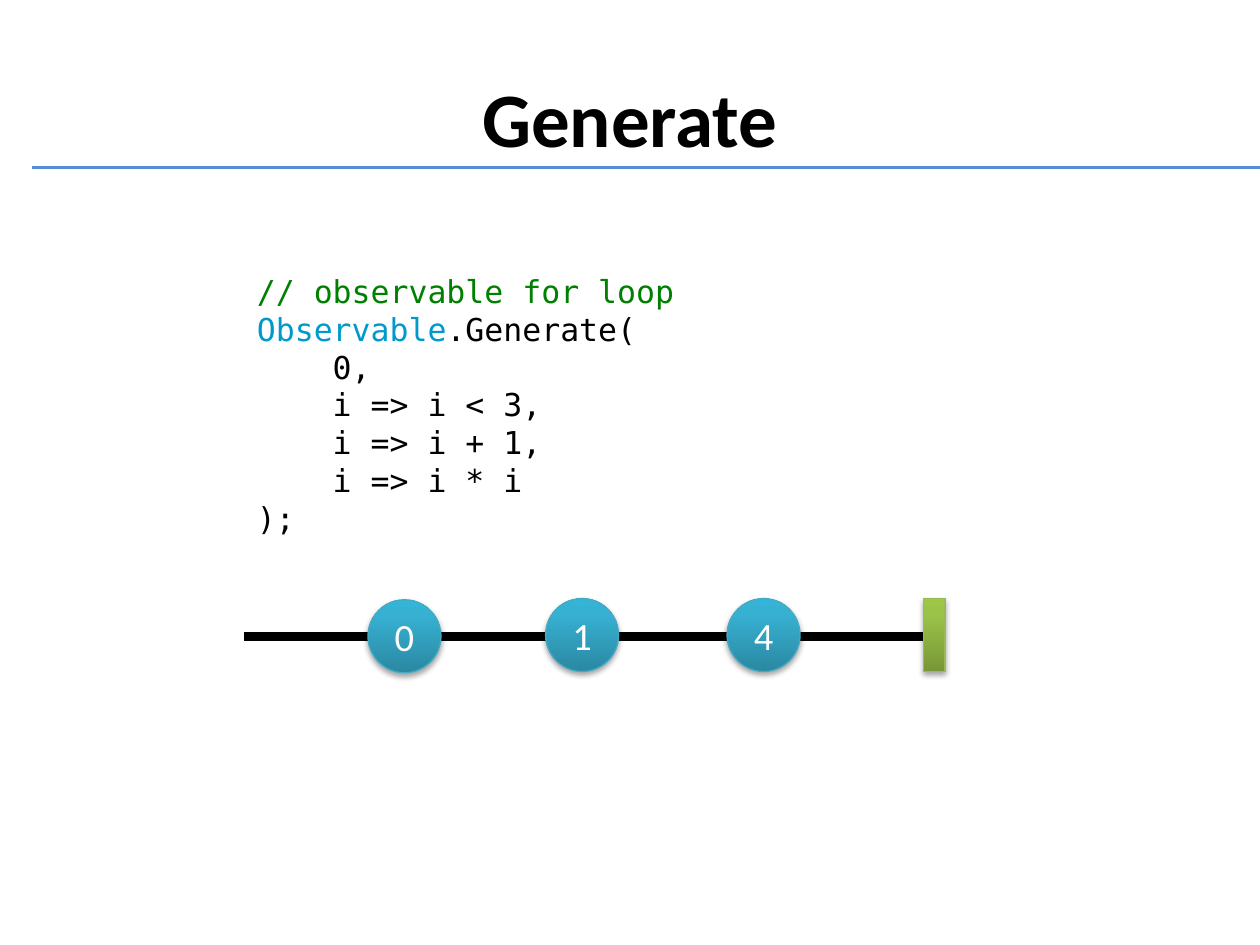
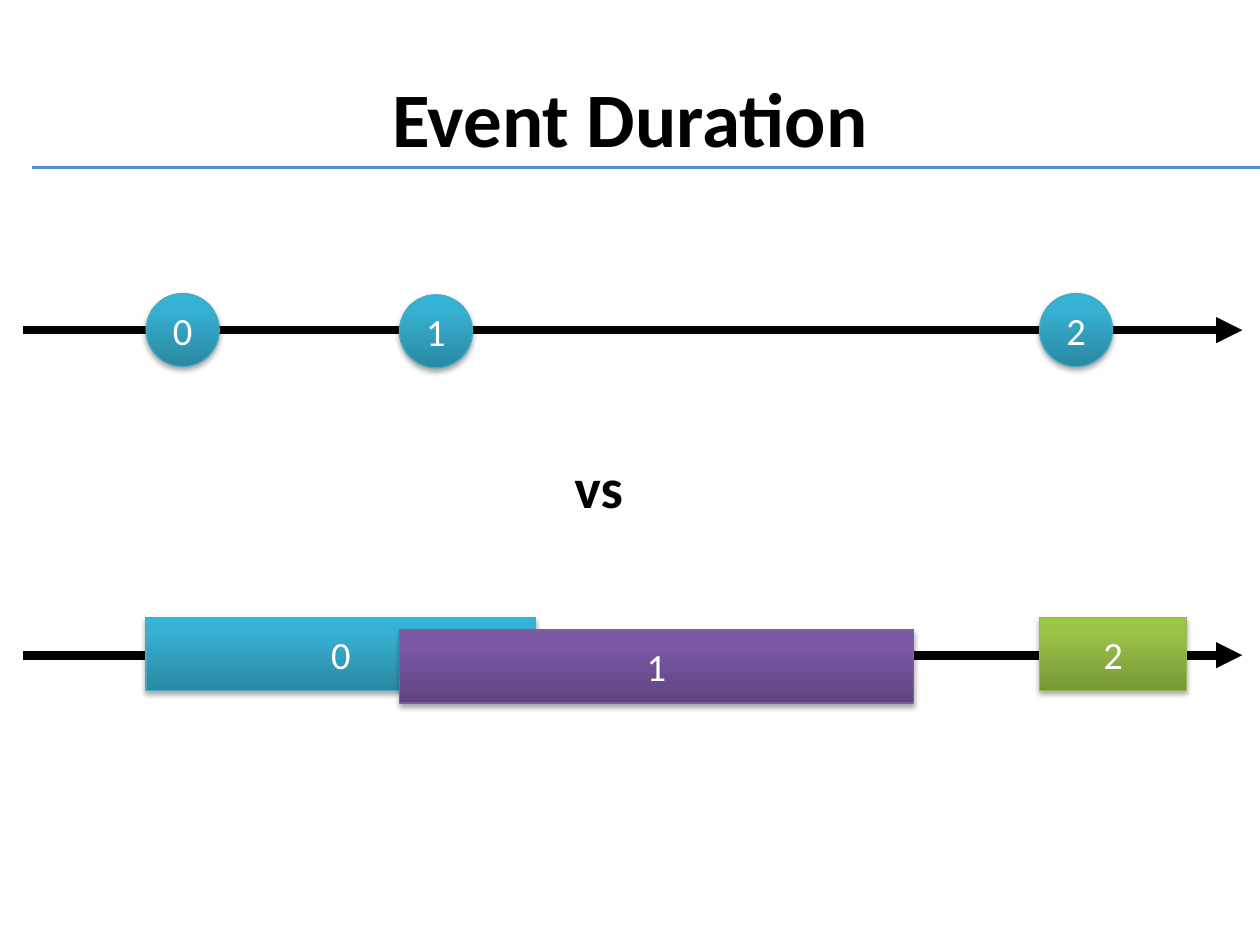
from lxml.etree import SubElement
from pptx import Presentation
from pptx.dml.color import RGBColor
from pptx.enum.shapes import MSO_CONNECTOR, MSO_SHAPE
from pptx.enum.text import MSO_ANCHOR, PP_ALIGN
from pptx.oxml.ns import qn
from pptx.util import Inches, Pt

BLACK = RGBColor(0x00, 0x00, 0x00)
WHITE = RGBColor(0xFF, 0xFF, 0xFF)
RULE_BLUE = RGBColor(0x55, 0x8E, 0xD5)
COMMENT_GREEN = RGBColor(0x00, 0x80, 0x00)
TYPE_BLUE = RGBColor(0x00, 0x99, 0xCC)

BLUE = {
    "line": RGBColor(0x46, 0xAA, 0xC5),
    "stops": [(0, RGBColor(0x2A, 0x88, 0xA2)), (80, RGBColor(0x37, 0xB1, 0xD2)),
              (100, RGBColor(0x34, 0xB4, 0xD6))],
}
PURPLE = {
    "line": RGBColor(0x7D, 0x60, 0xA0),
    "stops": [(0, RGBColor(0x5F, 0x44, 0x80)), (80, RGBColor(0x7B, 0x58, 0xA6)),
              (100, RGBColor(0x7C, 0x57, 0xA8))],
}
GREEN = {
    "line": RGBColor(0x98, 0xB9, 0x55),
    "stops": [(0, RGBColor(0x77, 0x97, 0x37)), (80, RGBColor(0x9B, 0xC3, 0x48)),
              (100, RGBColor(0x9D, 0xC7, 0x46))],
}

TEXT_FONT = "Calibri"
CODE_FONT = "DejaVu Sans Mono"
SIZE = 0.58

CODE = [
    [("// observable for loop", COMMENT_GREEN)],
    [("Observable", TYPE_BLUE), (".Generate(", BLACK)],
    [("    0,", BLACK)],
    [("    i => i < 3,", BLACK)],
    [("    i => i + 1,", BLACK)],
    [("    i => i * i", BLACK)],
    [(");", BLACK)],
]
GENERATED = [("0", 2.92, 4.76), ("1", 4.33, 4.75), ("4", 5.77, 4.75)]
POINT_EVENTS = [("0", 1.16, 2.33), ("1", 3.17, 2.34), ("2", 8.25, 2.33)]
LASTING_EVENTS = [
    ("0", 1.16, 4.9, 3.09, BLUE),
    ("1", 3.17, 5, 4.08, PURPLE),
    ("2", 8.25, 4.9, 1.17, GREEN),
]


def style_text(p, size, color, bold=False):
    p.font.name = TEXT_FONT
    p.font.size = Pt(size)
    p.font.bold = bold
    p.font.color.rgb = color


def add_line(s, x1, x2, y, color, width, arrow=False):
    line = s.shapes.add_connector(MSO_CONNECTOR.STRAIGHT, Inches(x1), Inches(y),
                                  Inches(x2), Inches(y))
    line.line.color.rgb = color
    line.line.width = Pt(width)
    if arrow:
        SubElement(line.line._get_or_add_ln(), qn("a:tailEnd"), type="triangle")
    SubElement(line._element.spPr, qn("a:effectLst"))


def add_event(s, kind, label, x, y, width=SIZE, palette=BLUE):
    sp = s.shapes.add_shape(kind, Inches(x), Inches(y), Inches(width), Inches(SIZE))
    sp.line.color.rgb = palette["line"]
    sp.line.width = Pt(0.75)
    sp.fill.gradient()
    sp.fill.gradient_angle = 90
    spPr = sp._element.spPr
    stops = spPr.find(qn("a:gradFill")).find(qn("a:gsLst"))
    for stop in list(stops):
        stops.remove(stop)
    for percent, color in palette["stops"]:
        stop = SubElement(stops, qn("a:gs"), pos=str(percent * 1000))
        SubElement(stop, qn("a:srgbClr"), val=str(color))
    sp.shadow.inherit = False
    shadow = SubElement(spPr.find(qn("a:effectLst")), qn("a:outerShdw"), blurRad="40000",
                        dist="23000", dir="5400000", rotWithShape="0")
    shade = SubElement(shadow, qn("a:srgbClr"), val=str(BLACK))
    SubElement(shade, qn("a:alpha"), val="35000")
    if label:
        tf = sp.text_frame
        tf.vertical_anchor = MSO_ANCHOR.MIDDLE
        p = tf.paragraphs[0]
        p.text = label
        p.alignment = PP_ALIGN.CENTER
        style_text(p, 22, WHITE)


def add_slide(prs, title):
    s = prs.slides.add_slide(prs.slide_layouts[6])
    tf = s.shapes.add_textbox(Inches(0.5), Inches(0.3), Inches(9), Inches(1.25)).text_frame
    tf.word_wrap = True
    tf.vertical_anchor = MSO_ANCHOR.MIDDLE
    p = tf.paragraphs[0]
    p.text = title
    p.alignment = PP_ALIGN.CENTER
    style_text(p, 44, BLACK, bold=True)
    add_line(s, 0.25, 10, 1.33, RULE_BLUE, 2)
    return s


def add_code(s):
    tf = s.shapes.add_textbox(Inches(1.94), Inches(2.11), Inches(5.81), Inches(2.22)).text_frame
    tf.word_wrap = True
    for i, parts in enumerate(CODE):
        p = tf.paragraphs[0] if i == 0 else tf.add_paragraph()
        p.font.name = CODE_FONT
        p.font.size = Pt(18)
        for text, color in parts:
            r = p.add_run()
            r.text = text
            r.font.color.rgb = color


def build_generate(prs):
    s = add_slide(prs, "Generate")
    add_code(s)
    add_line(s, 1.94, 7.4, 5.05, BLACK, 5)
    for label, x, y in GENERATED:
        add_event(s, MSO_SHAPE.OVAL, label, x, y)
    add_event(s, MSO_SHAPE.RECTANGLE, "", 7.33, 4.75, 0.17, GREEN)


def build_duration(prs):
    s = add_slide(prs, "Event Duration")
    for y in (2.62, 5.2):
        add_line(s, 0.18, 9.86, y, BLACK, 5, arrow=True)
    for label, x, y in POINT_EVENTS:
        add_event(s, MSO_SHAPE.OVAL, label, x, y)
    for label, x, y, width, palette in LASTING_EVENTS:
        add_event(s, MSO_SHAPE.RECTANGLE, label, x, y, width, palette)
    tf = s.shapes.add_textbox(Inches(4.46), Inches(3.54), Inches(0.59), Inches(0.64)).text_frame
    tf.word_wrap = False
    p = tf.paragraphs[0]
    p.text = "vs"
    style_text(p, 32, BLACK, bold=True)


def main():
    prs = Presentation()
    prs.slide_width = Inches(10)
    prs.slide_height = Inches(7.5)
    build_generate(prs)
    build_duration(prs)
    prs.save("out.pptx")


if __name__ == "__main__":
    main()
